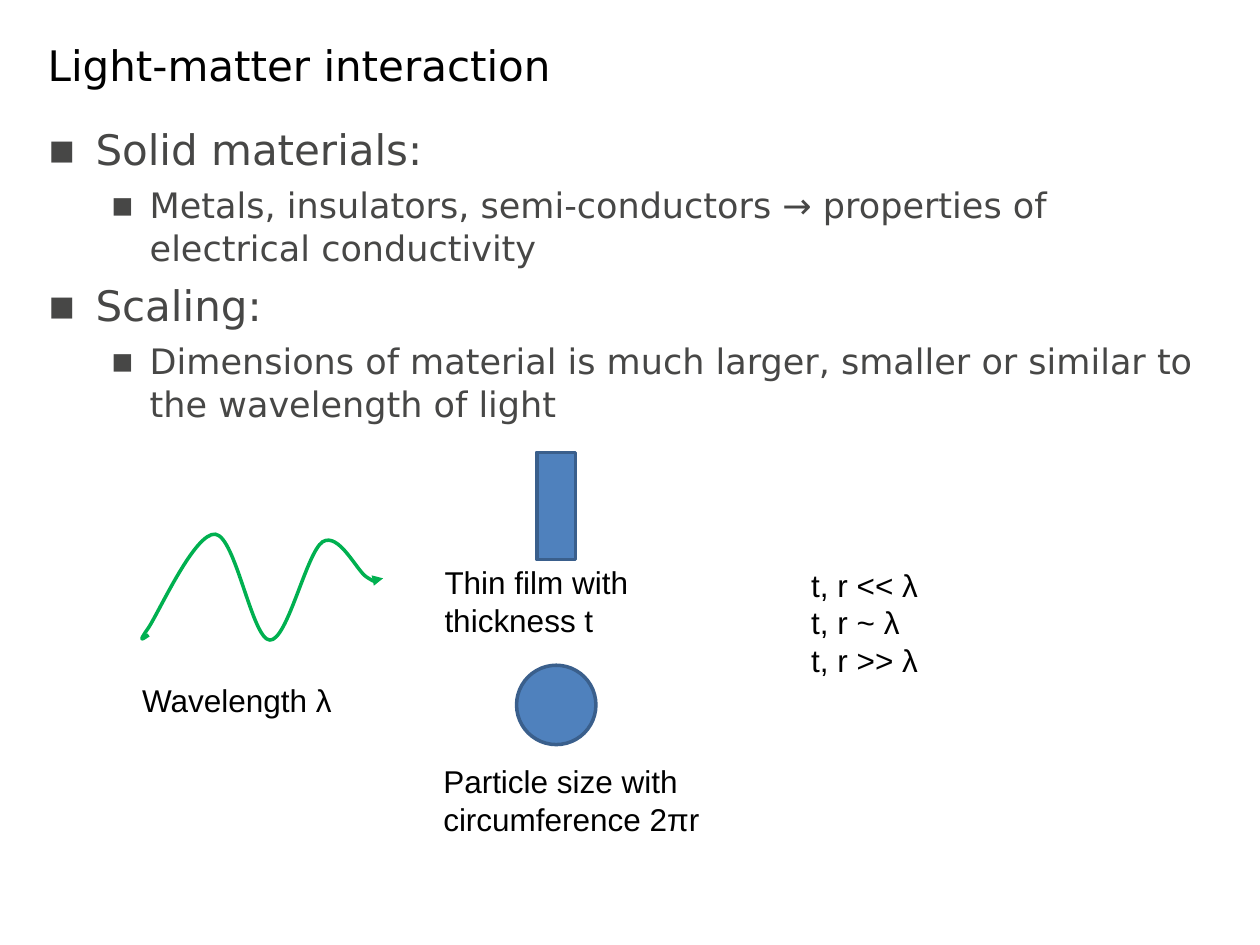
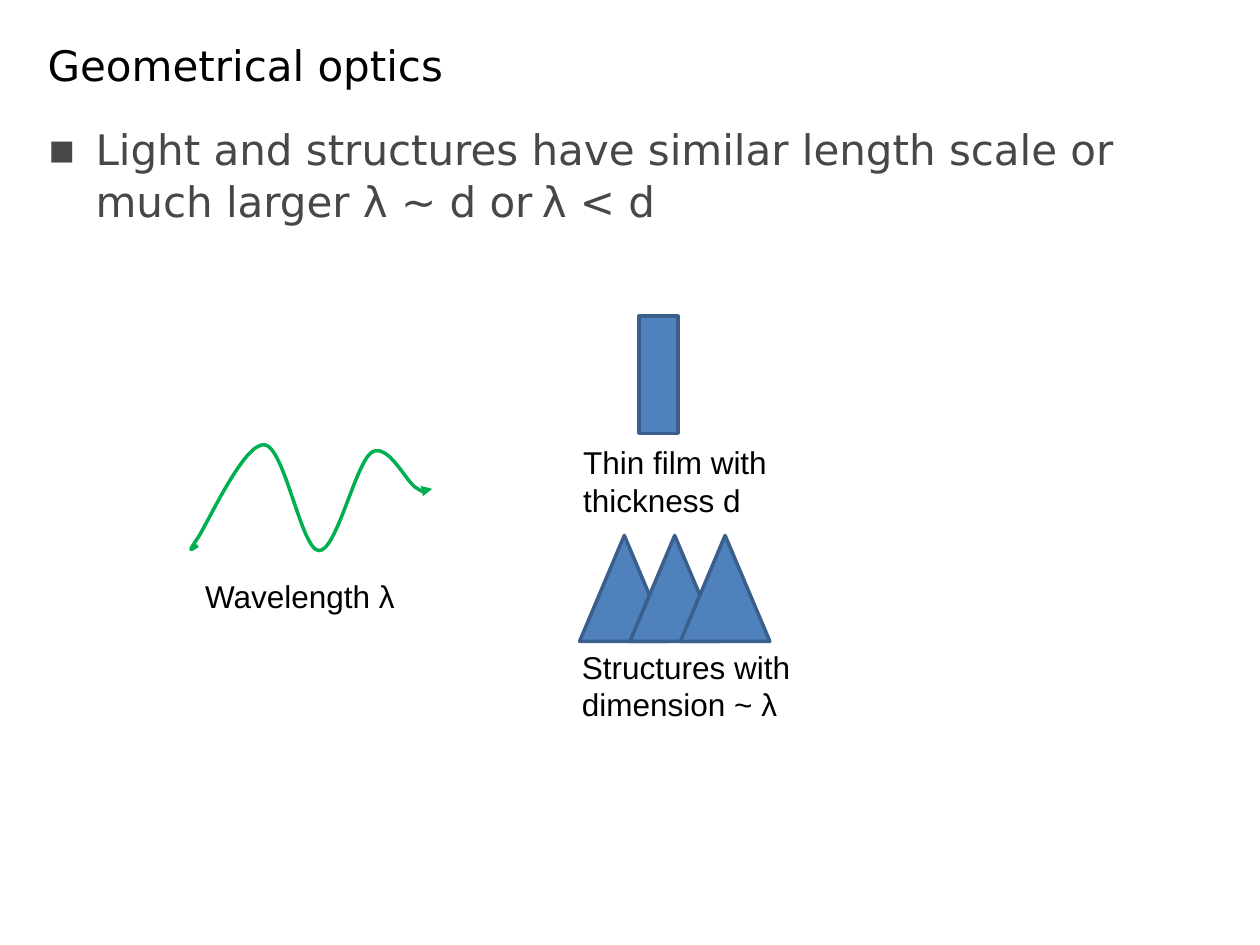
from lxml import etree
from pptx import Presentation
from pptx.dml.color import RGBColor
from pptx.enum.shapes import MSO_SHAPE
from pptx.enum.text import MSO_ANCHOR
from pptx.oxml.ns import qn
from pptx.util import Inches, Pt

RECT = MSO_SHAPE.RECTANGLE
OVAL = MSO_SHAPE.OVAL
TRIANGLE = MSO_SHAPE.ISOSCELES_TRIANGLE
TOP, MIDDLE = MSO_ANCHOR.TOP, MSO_ANCHOR.MIDDLE

COLORS = {
    "title": "000000",
    "body": "474746",
    "label": "000000",
    "fill": "4F81BD",
    "edge": "3A5F8C",
    "wave": "00B050",
}
HEAD, PLAIN = "DejaVu Sans", "Arial"
# Outline level: left margin, hanging indent, text size
LEVELS = [(0.38, 0.38, 24), (0.81, 0.31, 20)]

# Start of the wave, then two handles and an end for each curve
WAVE = [
    (1.18, 5.04),
    (1.13, 5.07), (1.09, 5.11), (1.18, 4.98),
    (1.27, 4.84), (1.55, 4.22), (1.71, 4.24),
    (1.87, 4.26), (2, 5.07), (2.14, 5.08),
    (2.28, 5.09), (2.43, 4.39), (2.56, 4.3),
    (2.69, 4.22), (2.83, 4.53), (2.91, 4.58),
    (2.99, 4.63), (3.01, 4.61), (3.04, 4.59),
]


def color(name):
    return RGBColor.from_string(COLORS[name])


def bullet(para, level):
    """Give a paragraph the hanging square bullet of its level."""
    left, hang, size = LEVELS[level]
    para.level = level
    props = para._p.get_or_add_pPr()
    props.set("marL", str(Inches(left)))
    props.set("indent", str(-Inches(hang)))
    etree.SubElement(props, qn("a:buFont")).set("typeface", HEAD)
    etree.SubElement(props, qn("a:buChar")).set("char", "▪")
    return size


def curve(shape):
    """Turn each three straight segments into one Bezier curve."""
    path = shape._element.find(".//" + qn("a:path"))
    lines = path.findall(qn("a:lnTo"))
    for i in range(0, len(lines), 3):
        bend = etree.SubElement(path, qn("a:cubicBezTo"))
        for line in lines[i:i + 3]:
            bend.append(line[0])
            path.remove(line)


class Deck:
    def __init__(self):
        self.prs = Presentation()
        self.prs.slide_width = Inches(10)
        self.prs.slide_height = Inches(7.5)
        self.slide = None

    def page(self, title, items):
        """Start a slide with its title and (level, text) outline."""
        self.slide = self.prs.slides.add_slide(self.prs.slide_layouts[6])
        self.text([title], 0.28, 0.21, 9.45, 0.6, size=24, font=HEAD,
                  tint="title", anchor=MIDDLE)
        self.text([text for _, text in items], 0.28, 0.92, 9.45, 5.51,
                  font=HEAD, tint="body", spacing=1.03,
                  levels=[level for level, _ in items])

    def text(self, paras, x, y, w, h, size=18, font=PLAIN, tint="label",
             anchor=TOP, levels=None, spacing=None):
        """Write paragraphs; each is a string or a list of (text, size) runs."""
        box = self.slide.shapes.add_textbox(
            Inches(x), Inches(y), Inches(w), Inches(h))
        frame = box.text_frame
        frame.word_wrap = True
        frame.vertical_anchor = anchor
        for i, runs in enumerate(paras):
            para = frame.add_paragraph() if i else frame.paragraphs[0]
            if levels:
                size = bullet(para, levels[i])
                if i:
                    para.space_before = Pt(size * 0.23)
            if spacing:
                para.line_spacing = spacing
            if isinstance(runs, str):
                runs = [(runs, size)]
            for words, points in runs:
                run = para.add_run()
                run.text = words
                run.font.size = Pt(points)
                run.font.name = font
                run.font.color.rgb = color(tint)

    def label(self, text, x, y, h=0.71):
        self.text([text], x, y, 2.76, h)

    def shape(self, kind, x, y, w, h):
        item = self.slide.shapes.add_shape(
            kind, Inches(x), Inches(y), Inches(w), Inches(h))
        item.shadow.inherit = False
        item.fill.solid()
        item.fill.fore_color.rgb = color("fill")
        item.line.color.rgb = color("edge")
        item.line.width = Pt(2)

    def wave(self, dx=0, dy=0):
        """Draw the light wave, moved by dx and dy, with an arrowhead."""
        spots = [(Inches(x + dx), Inches(y + dy)) for x, y in WAVE]
        pen = self.slide.shapes.build_freeform(*spots[0])
        pen.add_line_segments(spots[1:], close=False)
        item = pen.convert_to_shape()
        curve(item)
        item.shadow.inherit = False
        item.fill.background()
        item.line.color.rgb = color("wave")
        item.line.width = Pt(2)
        stroke = item._element.spPr.find(qn("a:ln"))
        etree.SubElement(stroke, qn("a:tailEnd")).set("type", "triangle")


def matter(deck):
    deck.page("Light-matter interaction", [
        (0, "Solid materials:"),
        (1, "Metals, insulators, semi-conductors → properties of "
            "electrical conductivity"),
        (0, "Scaling:"),
        (1, "Dimensions of material is much larger, smaller or similar to "
            "the wavelength of light"),
    ])
    deck.shape(OVAL, 4.1, 5.28, 0.63, 0.63)
    deck.wave()
    deck.label("Wavelength λ", 1.03, 5.36, h=0.4)
    deck.label("Particle size with circumference 2πr", 3.42, 6)
    deck.label("Thin film with thickness t", 3.43, 4.42)
    deck.shape(RECT, 4.26, 3.59, 0.31, 0.85)
    deck.text([f"t, r {sign} λ" for sign in ("<<", "~", ">>")],
              6.34, 4.44, 2.13, 1.01)


def optics(deck):
    deck.page("Geometrical optics", [
        (0, [("Light and structures have similar length scale or "
              "much larger λ ~ d or", 24), (" ", 16), ("λ < d", 24)]),
    ])
    deck.wave(0.39, -0.71)
    deck.label("Wavelength λ", 1.53, 4.53, h=0.4)
    deck.label("Thin film with thickness d", 4.53, 3.47)
    deck.shape(RECT, 5.07, 2.51, 0.31, 0.93)
    deck.label("Structures with dimension ~ λ", 4.52, 5.09)
    for i in range(3):
        deck.shape(TRIANGLE, 4.6 + 0.4 * i, 4.25, 0.71, 0.84)


def main():
    deck = Deck()
    matter(deck)
    optics(deck)
    deck.prs.save("out.pptx")


if __name__ == "__main__":
    main()
